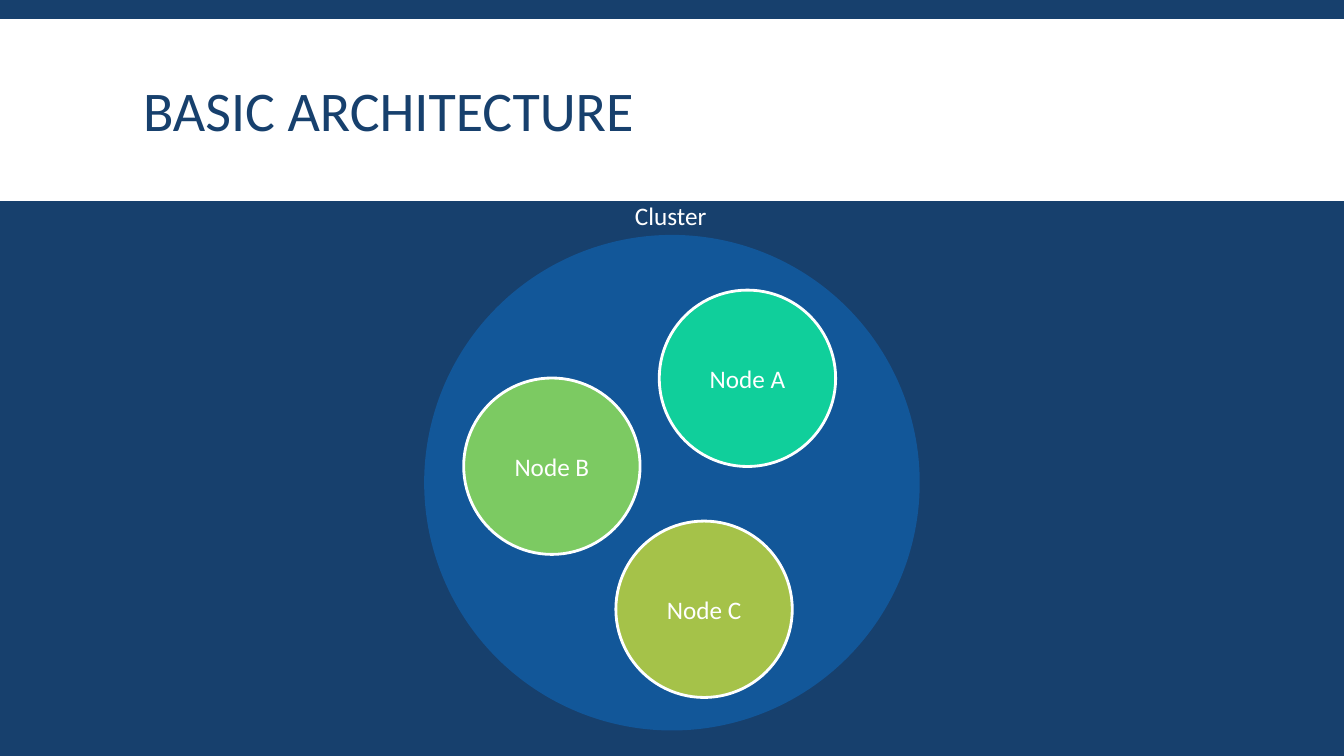
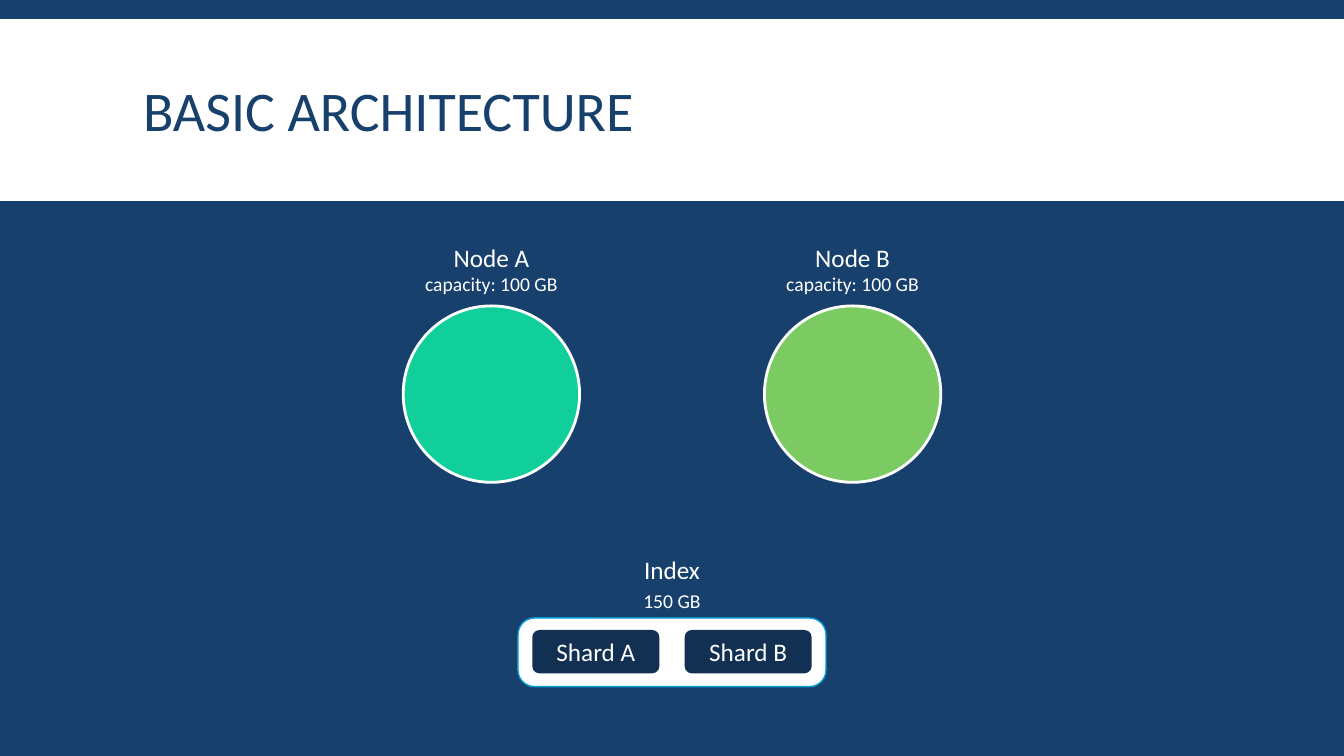
from pptx import Presentation
from pptx.dml.color import RGBColor
from pptx.enum.shapes import MSO_SHAPE
from pptx.enum.text import MSO_ANCHOR, MSO_AUTO_SIZE, PP_ALIGN
from pptx.oxml.ns import qn
from pptx.util import Pt
from lxml import etree

RECT, OVAL, ROUNDED = MSO_SHAPE.RECTANGLE, MSO_SHAPE.OVAL, MSO_SHAPE.ROUNDED_RECTANGLE
MIDDLE, LEFT, CENTER = MSO_ANCHOR.MIDDLE, PP_ALIGN.LEFT, PP_ALIGN.CENTER

FONT = "Calibri"
NAVY, DARK_NAVY, WHITE = "17406D", "113052", "FFFFFF"
BLUE, SKY = "0F6FC6", "009DD9"
TEAL, GREEN, OLIVE = "10CF9B", "7CCA62", "A5C249"
WIDTH, HEIGHT = 960, 540
MID = WIDTH / 2
NODE_SIZE = 126
rgb = RGBColor.from_string


def add_block(slide, kind, box, fill, line=None, line_width=2, text=""):
    """Add a flat filled shape, with centred white text if any is given."""
    block = slide.shapes.add_shape(kind, *map(Pt, box))
    block.shadow.inherit = False
    block.fill.solid()
    block.fill.fore_color.rgb = rgb(fill)
    if line:
        block.line.color.rgb = rgb(line)
        block.line.width = Pt(line_width)
    else:
        block.line.fill.background()
    if text:
        frame = block.text_frame
        frame.text = text
        frame.vertical_anchor = MIDDLE
        frame.margin_left = frame.margin_right = 0
        paragraph = frame.paragraphs[0]
        paragraph.alignment = CENTER
        paragraph.font.name, paragraph.font.size = FONT, Pt(18)
        paragraph.font.color.rgb = rgb(WHITE)
    return block


def add_label(slide, text, center, top, size=18):
    """Add a one-line white caption centred on a horizontal position."""
    width = 140
    label = slide.shapes.add_textbox(Pt(center - width / 2), Pt(top), Pt(width), Pt(size + 11))
    label.text_frame.word_wrap = True
    label.text_frame.text = text
    paragraph = label.text_frame.paragraphs[0]
    paragraph.alignment = CENTER
    paragraph.font.name, paragraph.font.size = FONT, Pt(size)
    paragraph.font.color.rgb = rgb(WHITE)


prs = Presentation()
prs.slide_width, prs.slide_height = Pt(WIDTH), Pt(HEIGHT)

# Shared layout: navy background, white title band, title position
layout = prs.slide_layouts[5]
layout.background.fill.solid()
layout.background.fill.fore_color.rgb = rgb(NAVY)
layout_title = layout.placeholders[0]
layout_title.left, layout_title.top = Pt(95), Pt(22.3)
layout_title.width, layout_title.height = Pt(770), Pt(118.8)

cluster_slide, shard_slide = [prs.slides.add_slide(layout) for _ in range(2)]
band = add_block(cluster_slide, RECT, (0, 13.7, WIDTH, 129.8), WHITE)
layout_title.element.addprevious(band.element)

for slide in (cluster_slide, shard_slide):
    frame = slide.shapes.title.text_frame
    frame.text = "BASIC ARCHITECTURE"
    frame.vertical_anchor = MIDDLE
    frame.auto_size = MSO_AUTO_SIZE.NONE
    heading = frame.paragraphs[0]
    heading.alignment, heading.line_spacing = LEFT, 0.85
    heading.font.name, heading.font.size = FONT, Pt(40)
    heading.font.color.rgb = rgb(NAVY)

# Slide 1: a cluster of three nodes
cluster = add_block(cluster_slide, OVAL, (MID - 177, 167.8, 354, 354), BLUE)
cluster_color = cluster.element.spPr.find(qn("a:solidFill"))[0]
etree.SubElement(cluster_color, qn("a:alpha")).set("val", "50000")
for name, left, top, color in (
    ("Node A", 470.9, 207.2, TEAL),
    ("Node B", 331.2, 270, GREEN),
    ("Node C", 439.9, 372.2, OLIVE),
):
    add_block(cluster_slide, OVAL, (left, top, NODE_SIZE, NODE_SIZE), color, WHITE, text=name)
add_label(cluster_slide, "Cluster", MID - 1, 139.7)

# Slide 2: two nodes above an index split into two shards
index_box = add_block(shard_slide, ROUNDED, (MID - 110, 441.4, 220, 49), WHITE, SKY, 1)
index_box.adjustments[0] = 0.24
add_label(shard_slide, "Index", MID, 392.4)
add_label(shard_slide, "150 GB", MID, 416.9, 14)
for letter, side, color in (("A", -1, TEAL), ("B", 1, GREEN)):
    node_center = MID + side * 129
    add_label(shard_slide, f"Node {letter}", node_center, 169.2)
    add_label(shard_slide, "capacity: 100 GB", node_center, 190.5, 14)
    add_block(shard_slide, OVAL, (node_center - NODE_SIZE / 2, 218.5, NODE_SIZE, NODE_SIZE), color, WHITE)
    shard_left = MID + side * 54.4 - 45.4
    add_block(shard_slide, ROUNDED, (shard_left, 450, 90.8, 31), DARK_NAVY, text=f"Shard {letter}")

prs.save("out.pptx")
